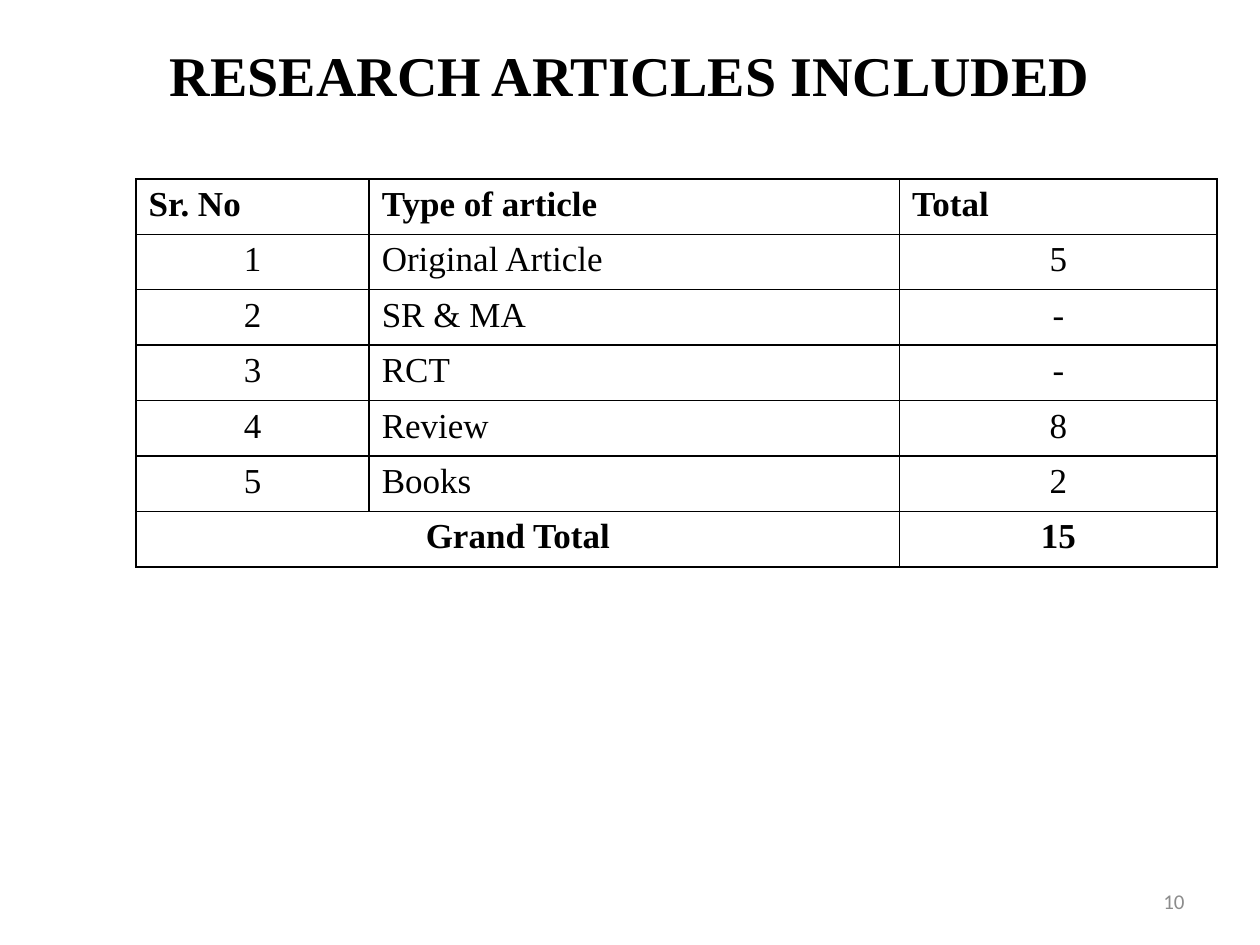
import pptx
import pptx.dml.color
import pptx.enum.text
import pptx.oxml
import pptx.oxml.ns
import pptx.util
from pptx.util import Inches

BLACK = pptx.dml.color.RGBColor(0x00, 0x00, 0x00)
GREY = pptx.dml.color.RGBColor(0x8C, 0x8C, 0x8C)
WHITE = pptx.dml.color.RGBColor(0xFF, 0xFF, 0xFF)

ALIGN = pptx.enum.text.PP_ALIGN
SERIF = "Times New Roman"
TITLE_FONT = {"name": SERIF, "size": pptx.util.Pt(32), "bold": True}
NUMBER_FONT = {"name": "Calibri", "size": pptx.util.Pt(12), "bold": False}
HEADING_FONT = {"name": SERIF, "size": pptx.util.Pt(20), "bold": True}
BODY_FONT = {**HEADING_FONT, "bold": False}

COLUMN_WIDTHS = (1.85, 4.21, 2.52)
ROW_HEIGHT = 0.44
ARTICLES = (
    ("Sr. No", "Type of article", "Total "),
    ("1", "Original Article", "5"),
    ("2", "SR & MA", "-"),
    ("3", "RCT", "-"),
    ("4", "Review", "8"),
    ("5", "Books", "2"),
    ("Grand Total", "", "15"),
)


def write_text(frame, text, align, font_format, color):
    paragraph = frame.paragraphs[0]
    paragraph.alignment = align
    run = paragraph.add_run()
    run.text = text
    for attribute, value in font_format.items():
        setattr(run.font, attribute, value)
    run.font.color.rgb = color


def add_label(slide, bounds, text, align, font_format, color):
    label = slide.shapes.add_textbox(*map(Inches, bounds))
    label.text_frame.word_wrap = True
    label.text_frame.vertical_anchor = pptx.enum.text.MSO_ANCHOR.MIDDLE
    write_text(label.text_frame, text, align, font_format, color)


def add_borders(cell):
    properties = cell._tc.get_or_add_tcPr()
    for position, side in enumerate(("lnL", "lnR", "lnT", "lnB")):
        border = pptx.oxml.parse_xml(
            f'<a:{side} {pptx.oxml.ns.nsdecls("a")} w="12700">'
            f'<a:solidFill><a:srgbClr val="{BLACK}"/></a:solidFill></a:{side}>'
        )
        properties.insert(position, border)


def add_article_table(slide):
    last_row = len(ARTICLES) - 1
    table = slide.shapes.add_table(
        len(ARTICLES), len(COLUMN_WIDTHS), Inches(1.08), Inches(1.42),
        Inches(sum(COLUMN_WIDTHS)), Inches(ROW_HEIGHT * len(ARTICLES)),
    ).table
    table.first_row = table.horz_banding = False
    for column, width in zip(table.columns, COLUMN_WIDTHS):
        column.width = Inches(width)
    table.cell(last_row, 0).merge(table.cell(last_row, 1))

    for row_index, article in enumerate(ARTICLES):
        table.rows[row_index].height = Inches(ROW_HEIGHT)
        font_format = HEADING_FONT if row_index in (0, last_row) else BODY_FONT
        for column_index, text in enumerate(article):
            cell = table.cell(row_index, column_index)
            cell.fill.solid()
            cell.fill.fore_color.rgb = WHITE
            add_borders(cell)
            if cell.is_spanned:
                continue
            if row_index == 0:
                align = ALIGN.JUSTIFY
            else:
                align = ALIGN.LEFT if column_index == 1 else ALIGN.CENTER
            write_text(cell.text_frame, text, align, font_format, BLACK)


def main():
    presentation = pptx.Presentation()
    presentation.slide_width = Inches(10)
    presentation.slide_height = Inches(7.5)
    slide = presentation.slides.add_slide(presentation.slide_layouts[6])
    add_label(slide, (0.5, 0.25, 9, 0.67), "RESEARCH ARTICLES INCLUDED",
              ALIGN.CENTER, TITLE_FONT, BLACK)
    add_label(slide, (7.17, 6.95, 2.33, 0.4), "10",
              ALIGN.RIGHT, NUMBER_FONT, GREY)
    add_article_table(slide)
    presentation.save("out.pptx")


if __name__ == "__main__":
    main()
